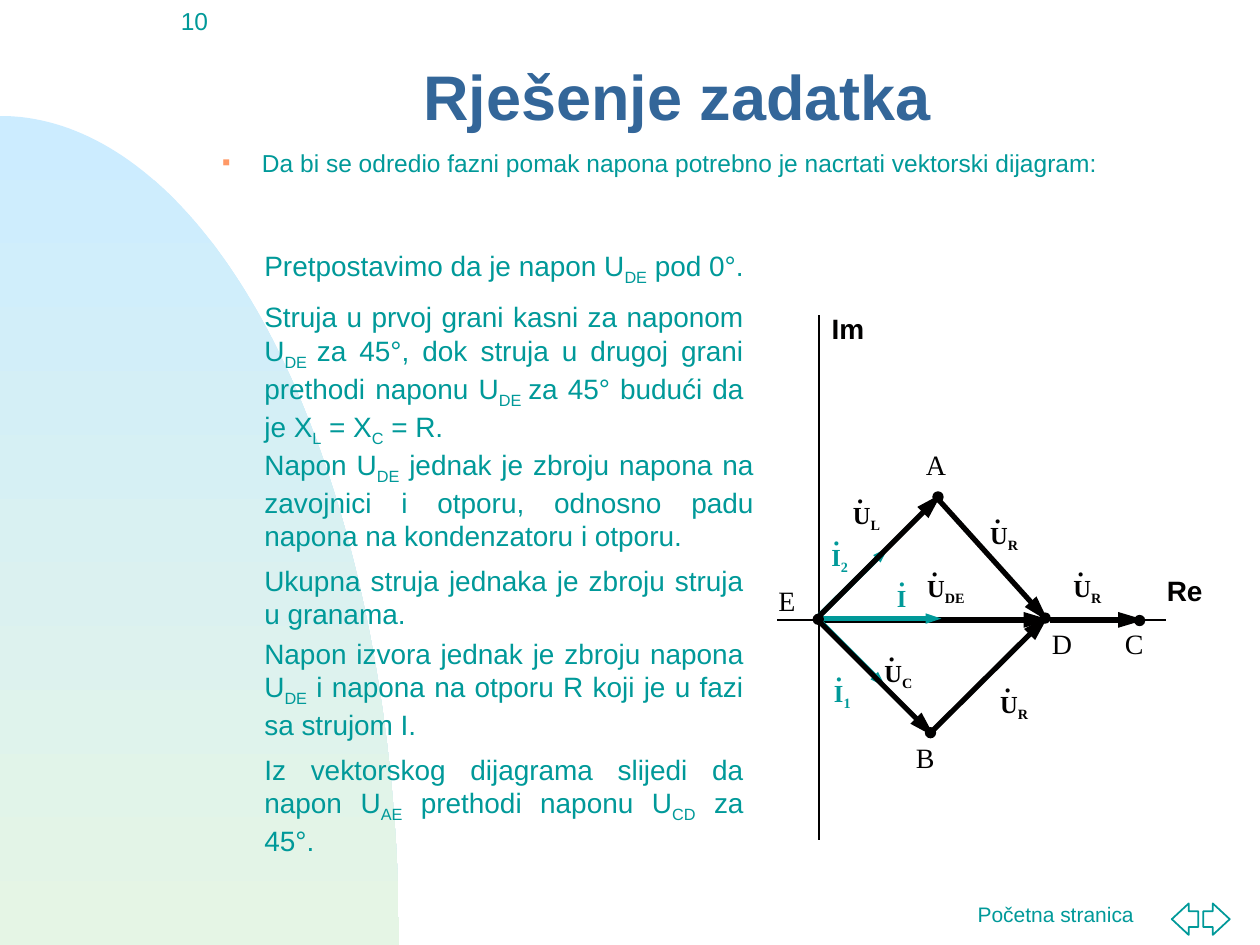
"""Build the slide with the phasor diagram that solves the circuit task."""
from math import cos, pi, sin

from lxml.etree import SubElement
from pptx import Presentation
from pptx.dml.color import RGBColor
from pptx.enum.shapes import MSO_CONNECTOR, MSO_SHAPE
from pptx.enum.text import MSO_ANCHOR, MSO_AUTO_SIZE, PP_ALIGN
from pptx.oxml.ns import qn
from pptx.util import Pt

TEAL = RGBColor(0x00, 0x99, 0x99)
BLACK = RGBColor(0x01, 0x00, 0x00)
WHITE = RGBColor(0xFF, 0xFF, 0xFF)
TITLE_BLUE = RGBColor(0x33, 0x66, 0x99)
SKY = RGBColor(0xCC, 0xEC, 0xFF)
MINT = RGBColor(0xE5, 0xF5, 0xE5)
BULLET_COLOR = "FF9966"

SANS, SERIF = "Arial", "Times New Roman"
TITLE = {"name": SANS, "size": Pt(36), "bold": True}
SMALL = {"name": SANS, "size": Pt(14), "bold": False}
FOOTER = {"name": SANS, "size": Pt(12)}
BODY = {"name": SANS, "size": Pt(16)}
AXIS = {"name": SANS, "size": Pt(16), "bold": True}
NODE = {"name": SERIF, "size": Pt(16)}
PHASOR = {"name": SERIF, "size": Pt(14), "bold": True}
PHASOR_DOT = {"name": SERIF, "size": Pt(20)}
VOLTAGE_HEAD = {"type": "triangle", "w": "med", "len": "lg"}
CURRENT_HEAD = {"type": "triangle", "w": "sm", "len": "med"}

HEADING = "Rješenje zadatka"
INTRODUCTION = ("Da bi se odredio fazni pomak napona potrebno je "
                "nacrtati vektorski dijagram:")
EXPLANATIONS = [
    (138.24, 293.76, ["Pretpostavimo da je napon U", "DE", " pod 0°."]),
    (167.76, 288, ["Struja u prvoj grani kasni za naponom U", "DE ",
                   "za 45°, dok struja u drugoj grani prethodi naponu U", "DE ",
                   "za 45° budući da je X", "L", " = X", "C", " = R."]),
    (252, 293.76, ["Napon U", "DE", " jednak je zbroju napona na zavojnici i otporu, "
                   "odnosno padu napona na kondenzatoru i otporu."]),
    (318.24, 288, ["Ukupna struja jednaka je zbroju struja u granama."]),
    (360, 288, ["Napon izvora jednak je zbroju napona U", "DE",
                " i napona na otporu R koji je u fazi sa strujom I."]),
    (426.24, 288, ["Iz vektorskog dijagrama slijedi da napon U", "AE",
                   " prethodi naponu U", "CD", " za 45°."]),
]
AXES = [(468, 180, 468, 480), (666, 354.24, 444, 354.24)]
AXIS_LABELS = [("Im", 462, 174.24), ("Re", 654.5, 324)]
VECTORS = [
    (468, 354.24, 600, 354.24, BLACK),
    (466.5, 353, 506, 392.5, TEAL),
    (467, 353, 507.5, 313, TEAL),
    (466.5, 353.5, 538, 353.5, TEAL),
    (466, 354.24, 538, 282.24, BLACK),
    (534, 283, 599, 355, BLACK),
    (530.5, 420, 599, 352, BLACK),
    (466, 353, 534, 421, BLACK),
    (600, 354.24, 654, 354.24, BLACK),
]
NODE_SIZE = 6.5
NODES = [
    ("A", (536, 284), (522, 252)),
    ("B", (531.7, 418.7), (516.24, 419.76)),
    ("C", (651.2, 354.6), (635.76, 354.24)),
    ("D", (597.2, 353.2), (594, 354.24)),
    ("E", (467.6, 353.9), (437.76, 329.76)),
]
PHASORS = [
    (["U", "DE"], 522.72, 324, BLACK),
    (["U", "L"], 480.24, 282.24, BLACK),
    (["U", "R"], 558.72, 293.76, BLACK),
    (["U", "R"], 564.48, 390.24, BLACK),
    (["U", "C"], 498.24, 372.24, BLACK),
    (["U", "R"], 606.24, 324, BLACK),
    (["I", "2"], 468, 306, TEAL),
    (["I", "1"], 469.5, 383.76, TEAL),
    (["I"], 505.5, 329.76, TEAL),
]
DOT_OFFSETS = {"U": 1.8, "I": 0.4}
LABEL_WIDTH, LABEL_HEIGHT = 45, 26.64
NAVIGATION_ARROWS = [(MSO_SHAPE.LEFT_ARROW, 669.6), (MSO_SHAPE.RIGHT_ARROW, 687.6)]


def write(paragraph, pieces, style, color, alignment):
    paragraph.alignment = alignment
    for index, piece in enumerate(pieces):
        run = paragraph.add_run()
        run.text = piece
        for name, value in style.items():
            setattr(run.font, name, value)
        run.font.color.rgb = color
        if index % 2:
            run._r.get_or_add_rPr().set("baseline", "-25000")


def place(shape, left, top, width, height):
    for name, value in zip(("left", "top", "width", "height"), (left, top, width, height)):
        setattr(shape, name, Pt(value))


def add_text(slide, box, pieces, style, color, alignment=PP_ALIGN.LEFT):
    shape = slide.shapes.add_textbox(*map(Pt, box))
    shape.text_frame.word_wrap = True
    write(shape.text_frame.paragraphs[0], pieces, style, color, alignment)


def add_line(slide, ends, color, weight, head=None):
    line = slide.shapes.add_connector(MSO_CONNECTOR.STRAIGHT, *map(Pt, ends))
    line.line.color.rgb = color
    line.line.width = Pt(weight)
    properties = line._element.spPr
    if head:
        SubElement(properties.find(qn("a:ln")), qn("a:tailEnd"), head)
    SubElement(properties, qn("a:effectLst"))


def add_arc(slide):
    radius_x, radius_y, bottom, steps = 228, 473.76, 540, 90
    angles = [pi / 2 * step / steps for step in range(steps + 1)]
    curve = [(Pt(radius_x * sin(angle)), Pt(bottom - radius_y * cos(angle)))
             for angle in angles]
    builder = slide.shapes.build_freeform(*curve[0])
    builder.add_line_segments(curve[1:] + [(0, Pt(bottom))], close=True)
    arc = builder.convert_to_shape()
    arc.shadow.inherit = False
    arc.line.fill.background()
    arc.fill.gradient()
    arc.fill.gradient_angle = 270
    for stop, color in zip(arc.fill.gradient_stops, (SKY, MINT)):
        stop.color.rgb = color


def add_heading(slide):
    title = slide.shapes.title
    place(title, 126, 24, 522, 72)
    title.text_frame.auto_size = MSO_AUTO_SIZE.NONE
    title.text_frame.vertical_anchor = MSO_ANCHOR.MIDDLE
    paragraph = title.text_frame.paragraphs[0]
    paragraph.line_spacing = 0.7
    write(paragraph, [HEADING], TITLE, TITLE_BLUE, PP_ALIGN.CENTER)


def add_introduction(slide):
    body = slide.placeholders[1]
    place(body, 120, 84.24, 552, 36)
    body.text_frame.auto_size = MSO_AUTO_SIZE.NONE
    paragraph = body.text_frame.paragraphs[0]
    properties = paragraph._p.get_or_add_pPr()
    properties.set("marL", str(Pt(22.5)))
    properties.set("indent", str(-Pt(22.5)))
    SubElement(SubElement(properties, qn("a:buClr")), qn("a:srgbClr"), val=BULLET_COLOR)
    SubElement(properties, qn("a:buSzPct"), val="50000")
    SubElement(properties, qn("a:buChar"), char="■")
    paragraph.line_spacing = 0.8
    paragraph.space_before = Pt(0)
    write(paragraph, [INTRODUCTION], SMALL, TEAL, PP_ALIGN.JUSTIFY)


def add_diagram(slide):
    label_size = (LABEL_WIDTH, LABEL_HEIGHT)
    for ends in AXES:
        add_line(slide, ends, BLACK, 0.75)
    for label, left, top in AXIS_LABELS:
        add_text(slide, (left, top, *label_size), [label], AXIS, BLACK, PP_ALIGN.CENTER)
    for *ends, color in VECTORS:
        add_line(slide, ends, color, 3, CURRENT_HEAD if color == TEAL else VOLTAGE_HEAD)
    for name, (center_x, center_y), label_corner in NODES:
        corner = (center_x - NODE_SIZE / 2, center_y - NODE_SIZE / 2)
        node = slide.shapes.add_shape(MSO_SHAPE.OVAL, *map(Pt, (*corner, NODE_SIZE, NODE_SIZE)))
        node.shadow.inherit = False
        node.fill.solid()
        node.fill.fore_color.rgb = BLACK
        node.line.fill.background()
        add_text(slide, (*label_corner, *label_size), [name], NODE, BLACK)
    for pieces, left, top, color in PHASORS:
        add_text(slide, (left, top, *label_size), pieces, PHASOR, color)
        dot_box = (left + DOT_OFFSETS[pieces[0]], top - 18, 18, 28)
        add_text(slide, dot_box, ["."], PHASOR_DOT, color, PP_ALIGN.CENTER)


def add_navigation(slide):
    add_text(slide, (551.52, 511.92, 120, 33), ["Početna stranica"], FOOTER, TEAL)
    for kind, left in NAVIGATION_ARROWS:
        arrow = slide.shapes.add_shape(kind, *map(Pt, (left, 516.24, 15.12, 18)))
        arrow.adjustments[1] = 0.64
        arrow.shadow.inherit = False
        arrow.fill.solid()
        arrow.fill.fore_color.rgb = WHITE
        arrow.line.color.rgb = TEAL
        arrow.line.width = Pt(1)


def main():
    presentation = Presentation()
    presentation.slide_width, presentation.slide_height = Pt(720), Pt(540)
    slide = presentation.slides.add_slide(presentation.slide_layouts[1])
    add_arc(slide)
    add_heading(slide)
    add_introduction(slide)
    for top, width, pieces in EXPLANATIONS:
        add_text(slide, (144, top, width, 30), pieces, BODY, TEAL, PP_ALIGN.JUSTIFY)
    add_diagram(slide)
    add_navigation(slide)
    add_text(slide, (0, 0, 126, 36), ["10"], SMALL, TEAL, PP_ALIGN.RIGHT)
    presentation.save("out.pptx")


if __name__ == "__main__":
    main()
